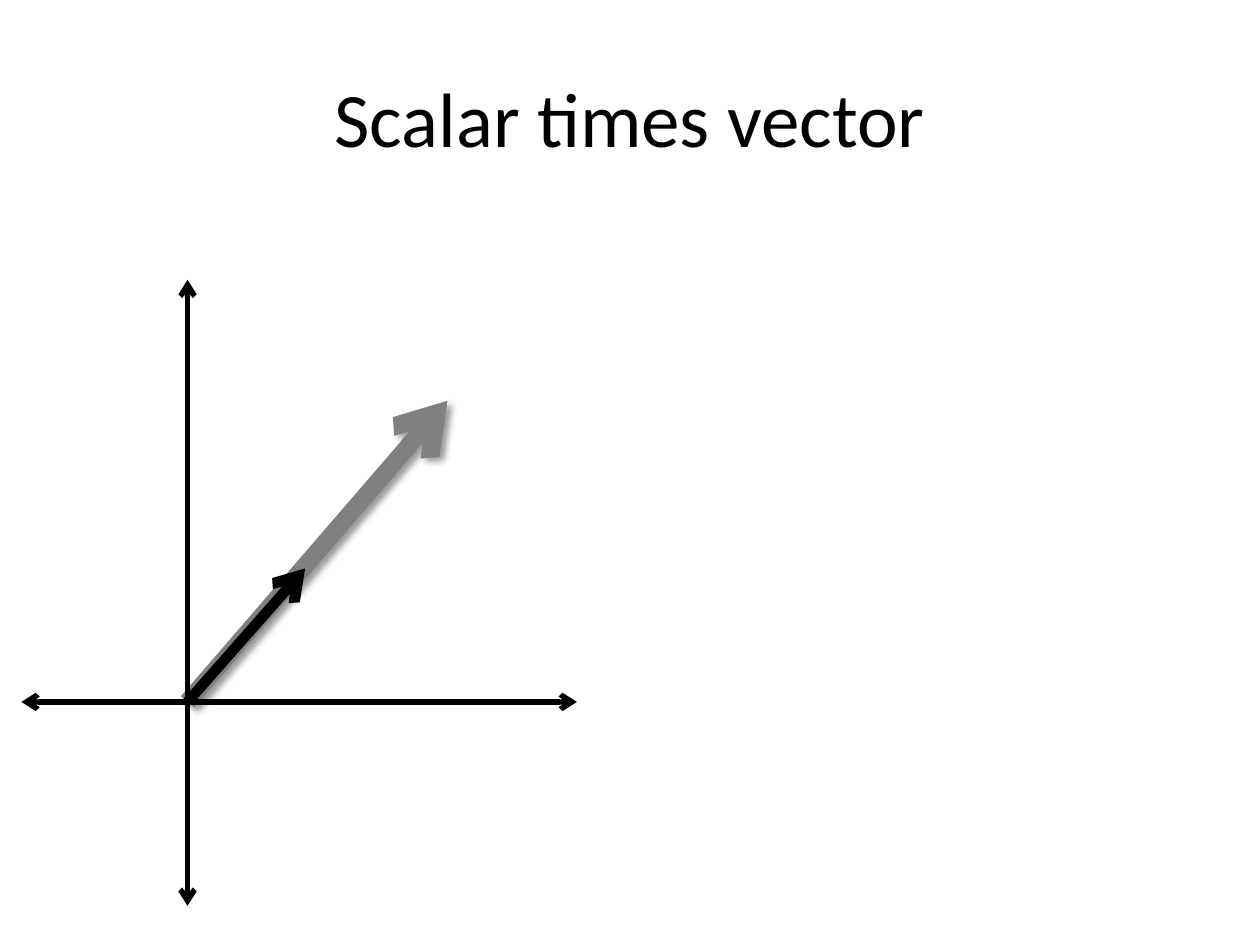
"""Build the slide "Scalar times vector": axes with a vector and its scaled version."""
import pptx
import pptx.dml.color
import pptx.enum.shapes
import pptx.enum.text
import pptx.util
from lxml import etree
from pptx.oxml.ns import qn

Cm, Pt = pptx.util.Cm, pptx.util.Pt

TITLE = "Scalar times vector"
ORIGIN = (3.78, 14.15)
ARROWS = [
    {"start": ORIGIN, "end": (9.02, 8.08), "color": "808080", "width": 10,
     "ends": ["tailEnd"], "shadow": True},
    {"start": ORIGIN, "end": (6.15, 11.46), "color": "000000", "width": 6,
     "ends": ["tailEnd"], "shadow": False},
    {"start": (ORIGIN[0], 18.26), "end": (ORIGIN[0], 5.64), "color": "000000", "width": 3,
     "ends": ["headEnd", "tailEnd"], "shadow": False},
    {"start": (0.43, ORIGIN[1]), "end": (11.63, ORIGIN[1]), "color": "000000", "width": 3,
     "ends": ["headEnd", "tailEnd"], "shadow": False},
]


def rgb(value):
    return pptx.dml.color.RGBColor.from_string(value)


def add_arrow(s, start, end, color, width, ends, shadow):
    sp = s.shapes.add_connector(pptx.enum.shapes.MSO_CONNECTOR.STRAIGHT,
                                *(Cm(v) for v in start + end))
    sp.line.color.rgb = rgb(color)
    sp.line.width = Pt(width)
    ln = sp.line._get_or_add_ln()
    for tag in ends:
        etree.SubElement(ln, qn("a:" + tag), type="arrow")
    effects = etree.SubElement(sp._element.spPr, qn("a:effectLst"))
    if shadow:
        outer = etree.SubElement(effects, qn("a:outerShdw"), blurRad=str(Pt(4)),
                                 dist=str(Pt(3)), dir=str(45 * 60000),
                                 algn="tl", rotWithShape="0")
        clr = etree.SubElement(outer, qn("a:srgbClr"), val="000000")
        etree.SubElement(clr, qn("a:alpha"), val="40000")


def add_title(s):
    sp = s.shapes.add_textbox(Cm(1.27), Cm(0.76), Cm(22.86), Cm(3.18))
    tf = sp.text_frame
    tf.word_wrap = True
    tf.vertical_anchor = pptx.enum.text.MSO_ANCHOR.MIDDLE
    p = tf.paragraphs[0]
    p.alignment = pptx.enum.text.PP_ALIGN.CENTER
    r = p.add_run()
    r.text = TITLE
    r.font.name = "Calibri"
    r.font.size = Pt(44)
    r.font.color.rgb = rgb("000000")


def main():
    prs = pptx.Presentation()
    prs.slide_width, prs.slide_height = Cm(25.4), Cm(19.05)
    s = prs.slides.add_slide(prs.slide_layouts[6])
    add_title(s)
    for arrow in ARROWS:
        add_arrow(s, **arrow)
    prs.save("out.pptx")


if __name__ == "__main__":
    main()
